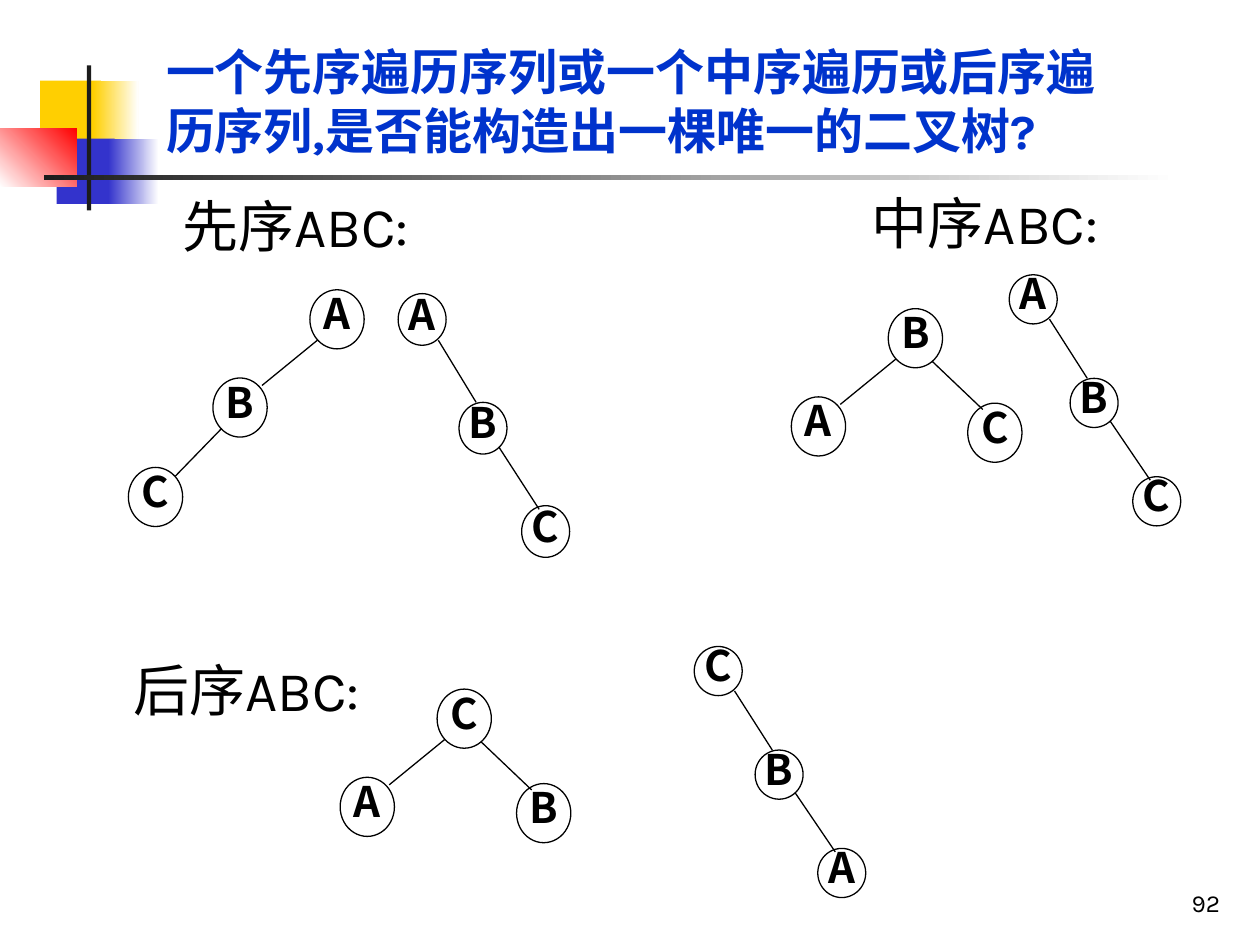
from dataclasses import dataclass
from typing import Optional

from lxml import etree
from pptx import Presentation
from pptx.dml.color import RGBColor
from pptx.enum import shapes, text
from pptx.oxml.ns import qn
from pptx.util import Pt


@dataclass(frozen=True)
class Theme:
    ink: str = "000000"
    title: str = "0033CC"
    yellow: str = "FFCF01"
    blue: str = "3333CC"
    red: str = "FF0000"
    dark: str = "1C1C1C"
    white: str = "FFFFFF"
    font: str = "Karla"
    node_font: str = "Noto Sans CJK SC"
    title_size: float = 28
    label_size: float = 32
    node_size: float = 24
    number_size: float = 14
    line_width: float = 0.75


T = Theme()


@dataclass(frozen=True)
class Block:
    left: float
    top: float
    width: float
    height: float
    color: str
    end: Optional[str] = None
    angle: float = 0


@dataclass(frozen=True)
class Label:
    words: str
    left: float
    top: float
    width: float
    height: float
    size: float
    color: str = T.ink
    bold: bool = False
    inset: float = 7.2
    align: text.PP_ALIGN = text.PP_ALIGN.LEFT
    anchor: text.MSO_ANCHOR = text.MSO_ANCHOR.TOP
    spacing: float = 1.0


@dataclass(frozen=True)
class Form:
    """Tree outline; nodes and edges are measured from the root's top left."""
    width: float
    height: float
    nodes: tuple
    edges: tuple


@dataclass(frozen=True)
class Tree:
    form: Form
    letters: str
    left: float
    top: float
    stretch: float = 1.0


LEFT_EDGE = (4.3, 28.8, -27.4, 54.7)
LEFT_CHAIN = Form(31, 33.8, ((0, 0), (-55.4, 50.4), (-103.7, 101.5)),
                  (LEFT_EDGE, (-50.4, 79.2, -77, 106.6)))
FORK = Form(31, 33.8, ((0, 0), (-55.4, 50.4), (45.4, 54)),
            (LEFT_EDGE, (25.2, 30.2, 54, 57.6)))
RIGHT_CHAIN = Form(27.4, 28.1, ((0, 0), (34.8, 59.2), (70.6, 115.4)),
                   ((23, 25.4, 44.6, 59.2), (57.6, 83.5, 80.6, 117.4)))

BLOCKS = (
    Block(23, 46, 34.6, 37.4, T.yellow),
    Block(53.3, 46, 25.9, 37.4, T.yellow, T.white),
    Block(32.4, 79.2, 33.1, 37.4, T.blue),
    Block(62, 79.2, 28.8, 37.4, T.blue, T.white),
    Block(0, 73.4, 44, 33.1, T.white, T.red, 45),
    Block(49.7, 37.4, 2.4, 82.8, T.dark),
    Block(25.2, 100.1, 648, 2.9, T.dark, T.white),
)

LABELS = (
    Label("先序ABC:", 76.3, 105.8, 242, 46, T.label_size, inset=28),
    Label("中序ABC:", 470.2, 104.4, 230, 46, T.label_size, inset=28),
    Label("后序ABC:", 48.2, 370.8, 202, 46, T.label_size, inset=28),
    Label("一个先序遍历序列或一个中序遍历或后序遍历序列,是否能构造出一棵唯一的二叉树?",
          87.8, 20.2, 555.8, 74.9, T.title_size, T.title, True),
    Label("92", 554.4, 491.8, 149.8, 36, T.number_size,
          align=text.PP_ALIGN.RIGHT, anchor=text.MSO_ANCHOR.BOTTOM, spacing=0.8),
)

TREES = (
    Tree(LEFT_CHAIN, "ABC", 177.1, 165.6),
    Tree(RIGHT_CHAIN, "ABC", 227.5, 167.8, 1.05),
    Tree(FORK, "BAC", 507.6, 176.4),
    Tree(RIGHT_CHAIN, "ABC", 576.7, 157),
    Tree(FORK, "CAB", 249.8, 393.8),
    Tree(RIGHT_CHAIN, "CBA", 396.7, 369.4),
)


def rgb(color: str) -> RGBColor:
    return RGBColor.from_string(color)


def format_run(r, font: str, size: float, color: str, bold: bool) -> None:
    r.font.name, r.font.size, r.font.bold = font, Pt(size), bold
    r.font.color.rgb = rgb(color)
    ea = etree.Element(qn("a:ea"), typeface=font)
    r._r.get_or_add_rPr().find(qn("a:latin")).addnext(ea)


def add_block(s, block: Block) -> None:
    sp = s.shapes.add_shape(shapes.MSO_SHAPE.RECTANGLE, Pt(block.left), Pt(block.top),
                            Pt(block.width), Pt(block.height))
    sp.shadow.inherit = False
    sp.line.fill.background()
    if block.end is None:
        sp.fill.solid()
        sp.fill.fore_color.rgb = rgb(block.color)
        return
    sp.fill.gradient()
    sp.fill.gradient_angle = block.angle
    for stop, color in zip(sp.fill.gradient_stops, (block.color, block.end)):
        stop.color.rgb = rgb(color)


def add_label(s, label: Label) -> None:
    sp = s.shapes.add_textbox(Pt(label.left), Pt(label.top), Pt(label.width), Pt(label.height))
    tf = sp.text_frame
    tf.word_wrap = True
    tf.margin_left = Pt(label.inset)
    tf.vertical_anchor = label.anchor
    p = tf.paragraphs[0]
    p.text = label.words
    p.alignment, p.line_spacing = label.align, label.spacing
    format_run(p.runs[0], T.font, label.size, label.color, label.bold)


def add_edge(s, x1: float, y1: float, x2: float, y2: float) -> None:
    line = s.shapes.add_connector(shapes.MSO_CONNECTOR.STRAIGHT, Pt(x1), Pt(y1), Pt(x2), Pt(y2))
    line.line.color.rgb = rgb(T.ink)
    line.line.width = Pt(T.line_width)
    etree.SubElement(line._element.spPr, qn("a:effectLst"))


def add_node(s, letter: str, x: float, y: float, width: float, height: float) -> None:
    sp = s.shapes.add_shape(shapes.MSO_SHAPE.OVAL, Pt(x), Pt(y), Pt(width), Pt(height))
    sp.shadow.inherit = False
    sp.fill.background()
    sp.line.color.rgb = rgb(T.ink)
    sp.line.width = Pt(T.line_width)
    tf = sp.text_frame
    tf.word_wrap = False
    tf.vertical_anchor = text.MSO_ANCHOR.MIDDLE
    p = tf.paragraphs[0]
    p.text = letter
    p.alignment, p.line_spacing = text.PP_ALIGN.CENTER, 0.7
    format_run(p.runs[0], T.node_font, T.node_size, T.ink, True)


def add_tree(s, tree: Tree) -> None:
    form, k = tree.form, tree.stretch
    for x1, y1, x2, y2 in form.edges:
        add_edge(s, tree.left + x1, tree.top + y1 * k, tree.left + x2, tree.top + y2 * k)
    for letter, (x, y) in zip(tree.letters, form.nodes):
        add_node(s, letter, tree.left + x, tree.top + y * k, form.width, form.height * k)


def main() -> None:
    prs = Presentation()
    prs.slide_width, prs.slide_height = Pt(720), Pt(540)
    s = prs.slides.add_slide(prs.slide_layouts[6])
    for block in BLOCKS:
        add_block(s, block)
    for label in LABELS:
        add_label(s, label)
    for tree in TREES:
        add_tree(s, tree)
    prs.save("out.pptx")


if __name__ == "__main__":
    main()
